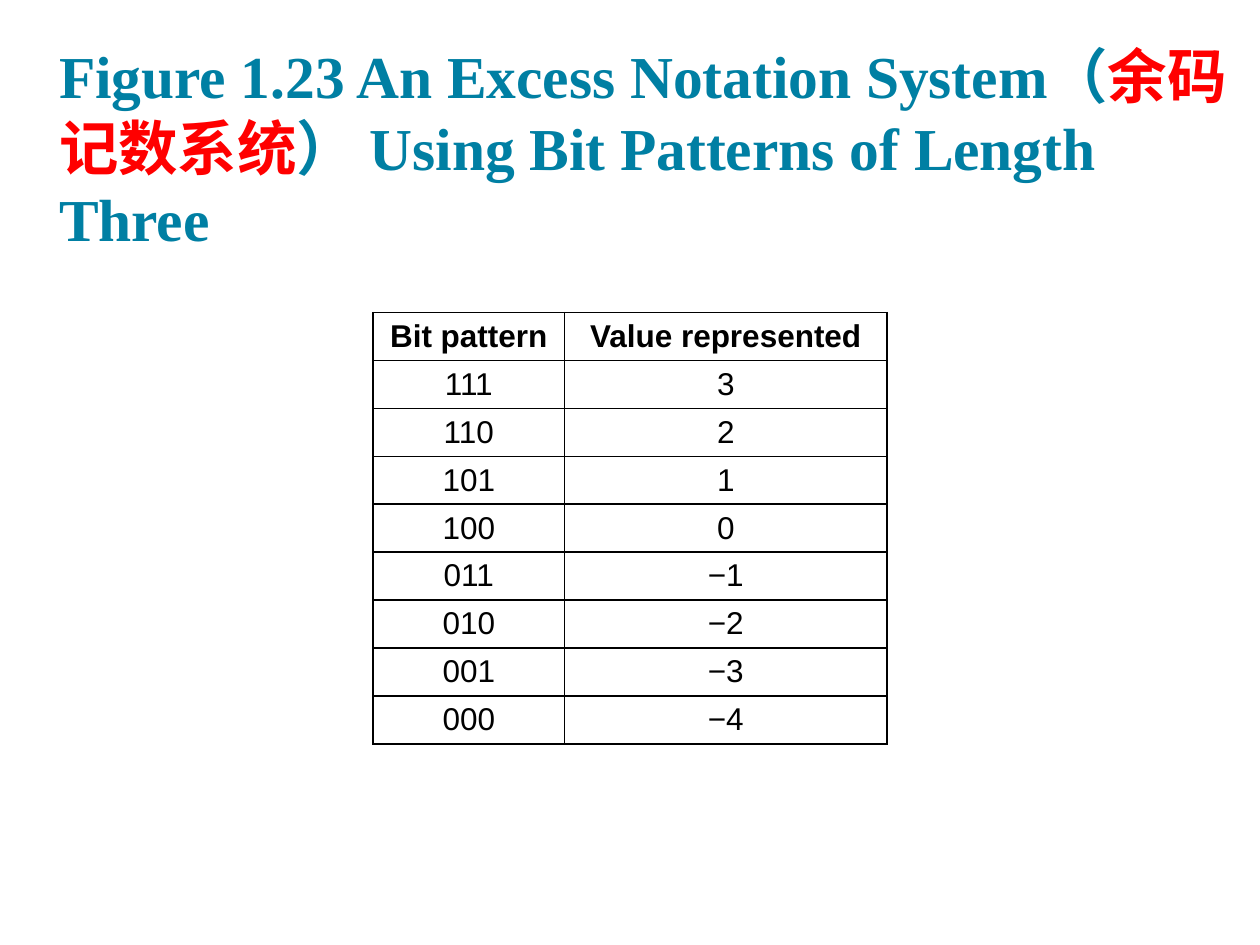
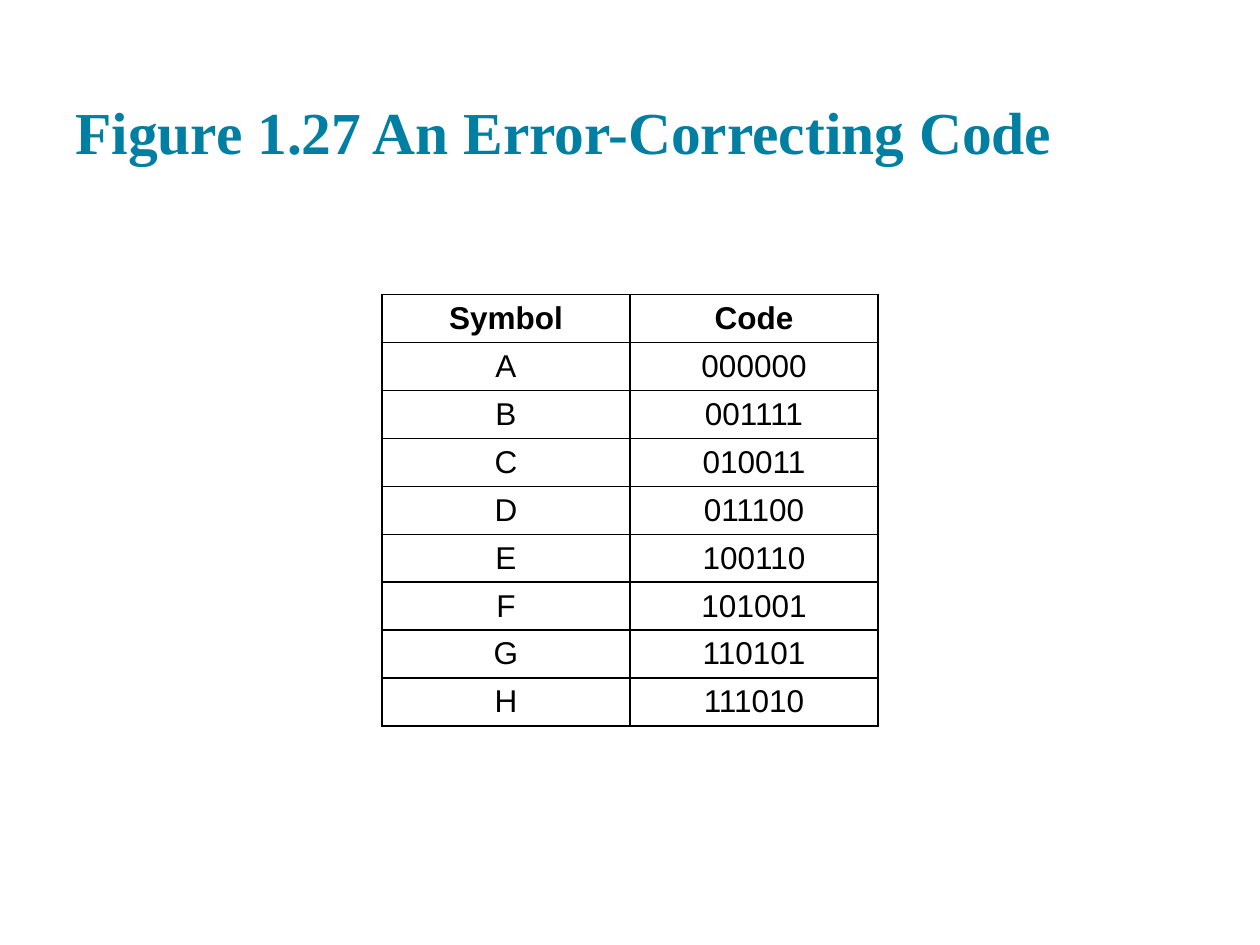
import lxml.etree
import pptx
import pptx.dml.color
import pptx.enum.text
import pptx.oxml.ns
import pptx.util
from pptx.util import Cm

TEAL, RED, BLACK, WHITE = "007FA3", "FF0000", "000000", "FFFFFF"
TITLE_FORMAT = {"size": 34, "font": "Times New Roman", "bold": True}
ROW_HEIGHT = Cm(0.96)
TITLE_INSET = Cm(0.25)

figures = [
    {
        "title": [
            ("Figure 1.23 An Excess Notation System（", TEAL),
            ("余码记数系统", RED),
            ("） Using Bit Patterns of Length Three", TEAL),
        ],
        "title_box": (0.94, 0.74, 24.13, 4.62),
        "table_corner": (7.52, 6.3),
        "column_widths": (3.86, 6.5),
        "rows": [("Bit pattern", "Value represented")]
        + [
            (f"{value + 4:03b}", str(value).replace("-", "−"))
            for value in range(3, -5, -1)
        ],
    },
    {
        "title": [("Figure 1.27 An Error-Correcting Code", TEAL)],
        "title_box": (1.27, 0.64, 22.86, 2.97),
        "table_corner": (7.7, 5.94),
        "column_widths": (5, 5),
        "rows": [
            ("Symbol", "Code"),
            ("A", "000000"),
            ("B", "001111"),
            ("C", "010011"),
            ("D", "011100"),
            ("E", "100110"),
            ("F", "101001"),
            ("G", "110101"),
            ("H", "111010"),
        ],
    },
]


def add_text(paragraph, text, color=BLACK, size=18, font="Arial", bold=False):
    run = paragraph.add_run()
    run.text = text
    run.font.size = pptx.util.Pt(size)
    run.font.name = font
    run.font.bold = bold
    run.font.color.rgb = pptx.dml.color.RGBColor.from_string(color)


def style_cell(cell):
    """Give the cell a white fill and a thin black border on all four sides."""
    properties = cell._tc.get_or_add_tcPr()
    qn = pptx.oxml.ns.qn
    for side in ("a:lnL", "a:lnR", "a:lnT", "a:lnB"):
        line = lxml.etree.SubElement(properties, qn(side), w=str(pptx.util.Pt(1)))
        fill = lxml.etree.SubElement(line, qn("a:solidFill"))
        lxml.etree.SubElement(fill, qn("a:srgbClr"), val=BLACK)
    cell.fill.solid()
    cell.fill.fore_color.rgb = pptx.dml.color.RGBColor.from_string(WHITE)


presentation = pptx.Presentation()
presentation.slide_width = Cm(25.4)
presentation.slide_height = Cm(19.05)
title_only_layout = presentation.slide_layouts[5]

for figure in figures:
    slide = presentation.slides.add_slide(title_only_layout)

    title = slide.shapes.title
    title.left, title.top, title.width, title.height = map(Cm, figure["title_box"])
    frame = title.text_frame
    frame.word_wrap = True
    frame.auto_size = pptx.enum.text.MSO_AUTO_SIZE.NONE
    frame.vertical_anchor = pptx.enum.text.MSO_ANCHOR.BOTTOM
    frame.margin_left = frame.margin_right = TITLE_INSET
    frame.margin_top = frame.margin_bottom = TITLE_INSET
    paragraph = frame.paragraphs[0]
    paragraph.alignment = pptx.enum.text.PP_ALIGN.LEFT
    for text, color in figure["title"]:
        add_text(paragraph, text, color=color, **TITLE_FORMAT)

    rows, widths = figure["rows"], figure["column_widths"]
    left, top = figure["table_corner"]
    table = slide.shapes.add_table(
        len(rows), len(widths), Cm(left), Cm(top),
        Cm(sum(widths)), ROW_HEIGHT * len(rows),
    ).table
    table.horz_banding = False
    for column, width in zip(table.columns, widths):
        column.width = Cm(width)
    for row_index, row in enumerate(rows):
        for column_index, text in enumerate(row):
            cell = table.cell(row_index, column_index)
            style_cell(cell)
            paragraph = cell.text_frame.paragraphs[0]
            paragraph.alignment = pptx.enum.text.PP_ALIGN.CENTER
            add_text(paragraph, text, bold=row_index == 0)

presentation.save("out.pptx")
